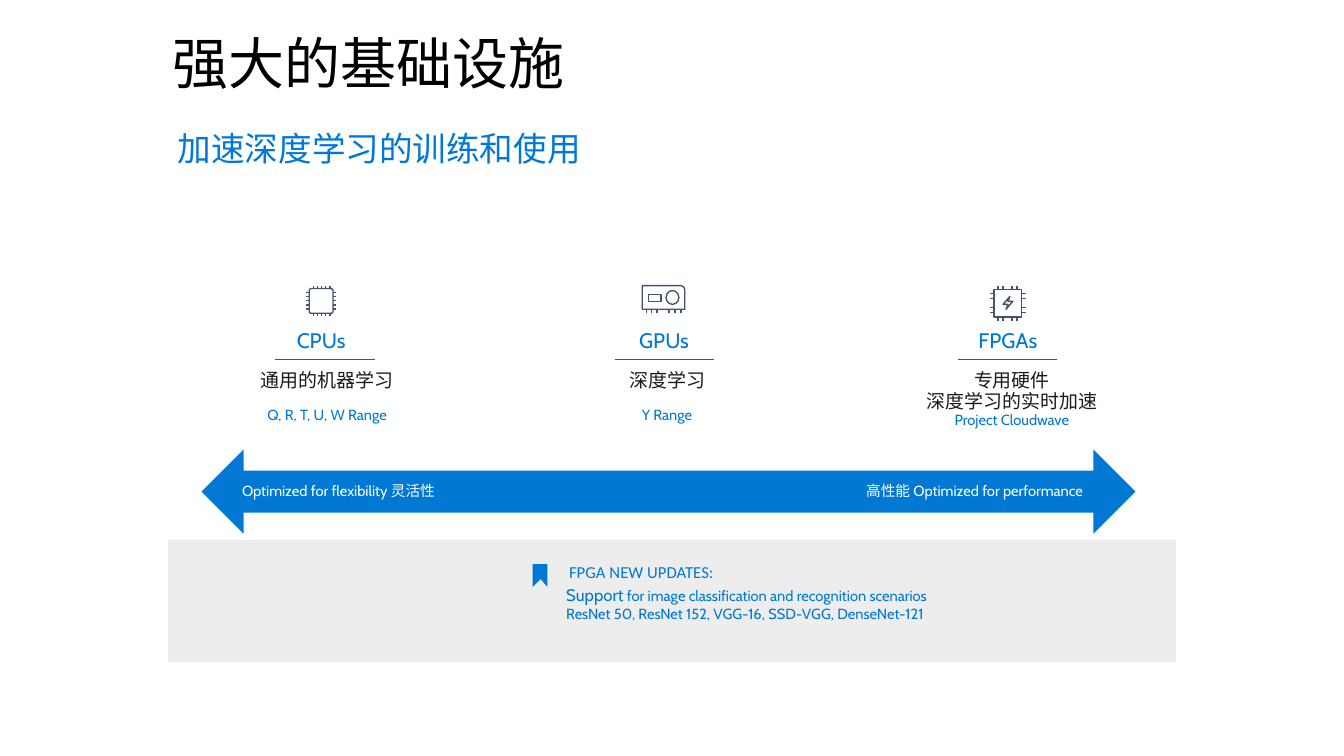
from lxml import etree
from pptx import Presentation
from pptx.dml.color import RGBColor
from pptx.enum.shapes import MSO_CONNECTOR, MSO_SHAPE as Preset
from pptx.enum.text import MSO_ANCHOR as Anchor, PP_ALIGN as Align
from pptx.oxml.ns import qn
from pptx.util import Inches, Pt

BLUE = RGBColor(0x00, 0x78, 0xD4)
SUBTITLE_BLUE = RGBColor(0x00, 0x78, 0xD7)
SLATE = RGBColor(0x44, 0x54, 0x6A)
DARK = RGBColor(0x1A, 0x1A, 0x1A)
GRAY = RGBColor(0xED, 0xED, 0xED)
BLACK = RGBColor(0, 0, 0)
WHITE = RGBColor(255, 255, 255)
CHINESE_FONT = "Noto Sans CJK SC"

presentation = Presentation()
presentation.slide_width = Inches(13.6)
presentation.slide_height = Inches(7.65)
slide = presentation.slides.add_slide(presentation.slide_layouts[5])
shapes = slide.shapes


def add_run(paragraph, text, size=10.7, color=BLUE, font="Cabin",
            align=Align.LEFT, spacing=0.9, before=0):
    paragraph.alignment = align
    paragraph.line_spacing = spacing
    paragraph.space_before = Pt(before)
    run = paragraph.add_run()
    run.text = text
    run.font.size = Pt(size)
    run.font.name = font
    run.font.color.rgb = color
    east_asian = etree.SubElement(run.font._element, qn("a:ea"))
    east_asian.set("typeface", CHINESE_FONT)


def add_frame(left, top, width, height, margins=(0, 0, 0, 0), anchor=Anchor.TOP, wrap=True):
    frame = shapes.add_textbox(Inches(left), Inches(top), Inches(width), Inches(height)).text_frame
    frame.word_wrap = wrap
    frame.vertical_anchor = anchor
    (frame.margin_left, frame.margin_top,
     frame.margin_right, frame.margin_bottom) = [Inches(margin) for margin in margins]
    return frame


# Title and subtitle
title = shapes.title
title.left, title.top, title.width, title.height = Inches(1.75), Inches(0.19), Inches(7.68), Inches(0.63)
title_frame = title.text_frame
title_frame.vertical_anchor = Anchor.TOP
title_frame.margin_left = title_frame.margin_right = title_frame.margin_bottom = 0
title_frame.margin_top = Inches(0.18)
add_run(title_frame.paragraphs[0], "强大的基础设施", size=40.8, color=BLACK, font=CHINESE_FONT)

subtitle = add_frame(1.7, 1.24, 4.41, 0.52, margins=(0.1, 0.05, 0.1, 0.05), wrap=False)
add_run(subtitle.paragraphs[0], "加速深度学习的训练和使用", size=24.5,
        color=SUBTITLE_BLUE, font=CHINESE_FONT, spacing=1.0)

# Filled band and arrow, then the outlined icon parts
for preset, left, top, width, height, fill, corner in [
    (Preset.LEFT_RIGHT_ARROW, 2.04, 4.55, 9.45, 0.85, BLUE, None),
    (Preset.RECTANGLE, 1.7, 5.46, 10.2, 1.24, GRAY, None),
    (Preset.ROUNDED_RECTANGLE, 3.13, 2.92, 0.24, 0.25, None, 0.08),
    (Preset.ROUND_1_RECTANGLE, 6.5, 2.89, 0.43, 0.24, None, 0.19),
    (Preset.OVAL, 6.74, 2.94, 0.13, 0.14, None, None),
    (Preset.RECTANGLE, 6.56, 2.98, 0.13, 0.07, None, None),
    (Preset.RECTANGLE, 10.06, 2.93, 0.28, 0.28, None, None),
]:
    shape = shapes.add_shape(preset, Inches(left), Inches(top), Inches(width), Inches(height))
    shape.shadow.inherit = False
    if corner:
        shape.adjustments[0] = corner
    if fill:
        shape.fill.solid()
        shape.fill.fore_color.rgb = fill
        shape.line.fill.background()
    else:
        shape.fill.background()
        shape.line.color.rgb = SLATE
        shape.line.width = Pt(1)

# Lightning bolt and bookmark
BOLT = [(10.22, 3), (10.2, 3.05), (10.25, 3.05), (10.18, 3.13), (10.2, 3.08), (10.15, 3.08)]
BOOKMARK = [(5.39, 5.71), (5.54, 5.71), (5.54, 5.94), (5.47, 5.86), (5.39, 5.94)]
for outline, filled in [(BOLT, False), (BOOKMARK, True)]:
    points = [(Inches(x), Inches(y)) for x, y in outline]
    builder = shapes.build_freeform(*points[0])
    builder.add_line_segments(points[1:], close=True)
    shape = builder.convert_to_shape()
    shape.shadow.inherit = False
    if filled:
        shape.fill.solid()
        shape.fill.fore_color.rgb = BLUE
        shape.line.fill.background()
    else:
        shape.fill.background()
        shape.line.color.rgb = SLATE
        shape.line.width = Pt(1)

# Icon pins and heading rules, as (x1, y1, x2, y2)
lines = [(left, 3.64, left + 1.01, 3.64) for left in (2.78, 6.22, 9.69)]
for step in range(5):
    pin_x, pin_y = 3.17 + 0.042 * step, 2.96 + 0.042 * step
    lines += [(pin_x, top, pin_x, top + 0.03) for top in (2.89, 3.17)]
    lines += [(left, pin_y, left + 0.03, pin_y) for left in (3.1, 3.37)]
for pin_x in (6.54, 6.59, 6.65, 6.77, 6.83, 6.89):
    lines.append((pin_x, 3.13, pin_x, 3.17))
for offset in (0.04, 0.09, 0.18, 0.23):
    pin_x, pin_y = 10.06 + offset, 2.93 + offset
    lines += [(pin_x, top, pin_x, top + 0.04) for top in (2.89, 3.21)]
    lines += [(left, pin_y, left + 0.04, pin_y) for left in (10.02, 10.34)]
for ends in lines:
    connector = shapes.add_connector(MSO_CONNECTOR.STRAIGHT, *[Inches(end) for end in ends])
    connector.line.color.rgb = SLATE
    connector.line.width = Pt(1)
    etree.SubElement(connector._element.spPr, qn("a:effectLst"))

# Processor columns: heading, purpose and range
for heading, heading_center, purposes, product_range, gap, center in [
    ("CPUs", 3.25, ["通用的机器学习"], "Q, R, T, U, W Range", 11.5, 3.31),
    ("GPUs", 6.72, ["深度学习"], "Y Range", 11.5, 6.75),
    ("FPGAs", 10.2, ["专用硬件", "深度学习的实时加速"], "Project Cloudwave", 0, 10.24),
]:
    frame = add_frame(heading_center - 0.4, 3.34, 0.8, 0.24, anchor=Anchor.MIDDLE)
    add_run(frame.paragraphs[0], heading, size=15.3, align=Align.CENTER)
    frame = add_frame(center - 1.46, 3.64, 2.92, 0.54, margins=(0.15, 0.12, 0.15, 0.12))
    paragraph = frame.paragraphs[0]
    for purpose in purposes:
        add_run(paragraph, purpose, size=13.8, color=DARK, align=Align.CENTER)
        paragraph = frame.add_paragraph()
    add_run(paragraph, product_range, align=Align.CENTER, before=gap)

# Arrow labels
for label, left, width, align in [
    ("Optimized for flexibility 灵活性", 2.45, 2.67, Align.LEFT),
    ("高性能 Optimized for performance", 8.48, 2.48, Align.RIGHT),
]:
    frame = add_frame(left, 4.89, width, 0.17, anchor=Anchor.MIDDLE)
    add_run(frame.paragraphs[0], label, color=WHITE, align=align)

# Updates in the gray band
updates_heading = add_frame(5.66, 5.64, 6.08, 0.31, margins=(0.1, 0.05, 0.1, 0.05))
add_run(updates_heading.paragraphs[0], "FPGA NEW UPDATES:", size=12.2, font="Calibri", spacing=1.0)
updates = add_frame(5.65, 5.92, 6.2, 0.39, margins=(0.08, 0, 0, 0))
support = updates.paragraphs[0]
add_run(support, "Support", size=12.2, spacing=1.0)
add_run(support, " for image classification and recognition scenarios", spacing=1.0)
add_run(updates.add_paragraph(), "ResNet 50, ResNet 152, VGG-16, SSD-VGG, DenseNet-121", spacing=1.0)

presentation.save("out.pptx")
